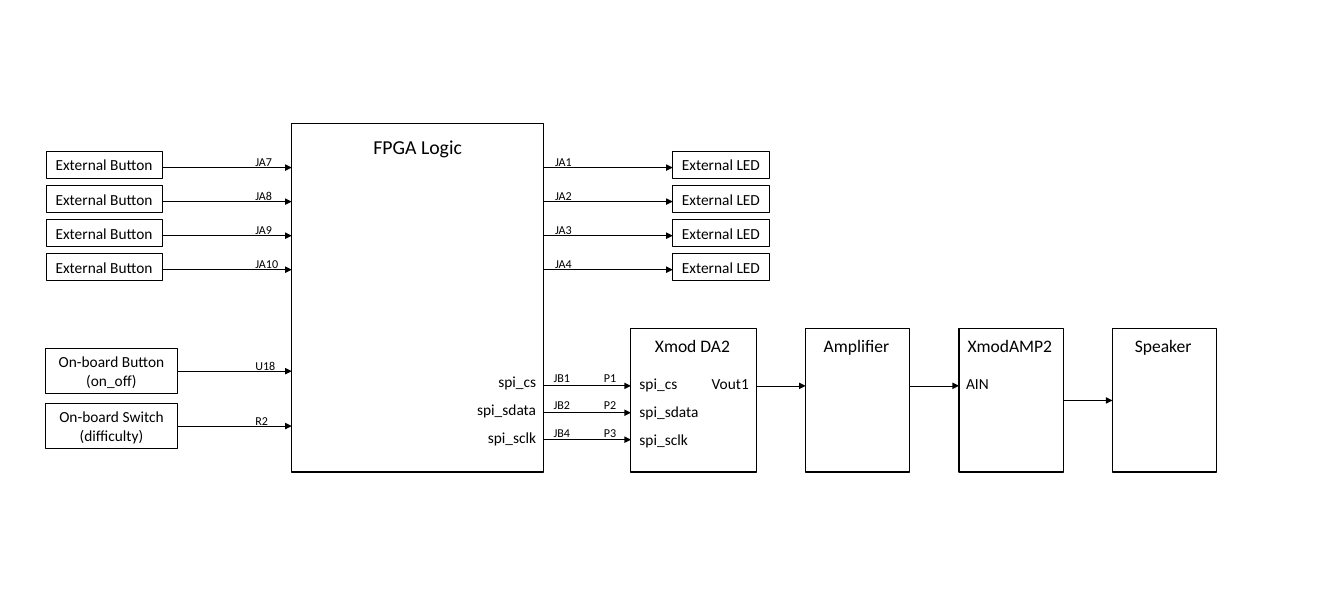
"""Block diagram of a sound game: buttons and LEDs around FPGA logic, with an audio chain."""
from lxml.etree import SubElement
from pptx import Presentation
from pptx.dml.color import RGBColor
from pptx.enum.shapes import MSO_CONNECTOR, MSO_SHAPE
from pptx.enum.text import MSO_ANCHOR, PP_ALIGN
from pptx.oxml.ns import qn
from pptx.util import Pt

BLACK = RGBColor(0, 0, 0)
WHITE = RGBColor(255, 255, 255)
FONT = "Calibri"
LEFT, CENTER, RIGHT = PP_ALIGN.LEFT, PP_ALIGN.CENTER, PP_ALIGN.RIGHT
RIGHT_SIDE, LEFT_SIDE = 3, 1

BUTTON_PINS = ["JA7", "JA8", "JA9", "JA10"]
LED_PINS = ["JA1", "JA2", "JA3", "JA4"]
BOARD_INPUTS = [("On-board Button\n(on_off)", "U18", 317.5),
                ("On-board Switch\n(difficulty)", "R2", 367.5)]
SPI_SIGNALS = [("spi_cs", "JB1", "P1"), ("spi_sdata", "JB2", "P2"), ("spi_sclk", "JB4", "P3")]
CONVERTER = "Xmod DA2"
AUDIO_STAGES = ["Amplifier", "XmodAMP2", "Speaker"]

INPUT_X = 41.8
FPGA_X, FPGA_Y, FPGA_W, FPGA_H = 265.7, 112.3, 229.7, 317.5
FPGA_RIGHT = FPGA_X + FPGA_W
LED_X = 612.7
ROW_Y, ROW_STEP = 152.6, 31
PIN_X, PIN_W = 225.4, 37
CONVERTER_X, CONVERTER_W = 574.6, 114.5
STAGE_X, STAGE_STEP, STAGE_W = 733.7, 139.7, 95
STAGE_Y, STAGE_H = 299.5, 130.3
SIGNAL_Y, SIGNAL_STEP = 351.4, 24.5
SIGNAL_TEXT_STEP, SIGNAL_W = 25.4, 87.8


def write(shape, text, size, align):
    frame = shape.text_frame
    frame.word_wrap = True
    frame.vertical_anchor = MSO_ANCHOR.TOP
    frame.text = text
    for para in frame.paragraphs:
        para.alignment = align
        for span in para.runs:
            span.font.name = FONT
            span.font.size = Pt(size)
            span.font.color.rgb = BLACK


def add_label(page, text, x, y, width, size=14, align=LEFT):
    label = page.shapes.add_textbox(Pt(x), Pt(y), Pt(width), Pt(size * 1.22 + 7.2))
    write(label, text, size, align)


def add_box(page, x, y, width, height, text="", line_width=0.75):
    box = page.shapes.add_shape(MSO_SHAPE.RECTANGLE, Pt(x), Pt(y), Pt(width), Pt(height))
    box.shadow.inherit = False
    box.fill.solid()
    box.fill.fore_color.rgb = WHITE
    box.line.color.rgb = BLACK
    box.line.width = Pt(line_width)
    if text:
        write(box, text, 14, CENTER)
    return box


def add_arrow(page, x1, x2, y, line_width=1):
    arrow = page.shapes.add_connector(MSO_CONNECTOR.STRAIGHT, Pt(x1), Pt(y), Pt(x2), Pt(y))
    arrow.line.color.rgb = BLACK
    arrow.line.width = Pt(line_width)
    SubElement(arrow.line._get_or_add_ln(), qn("a:tailEnd"), type="triangle")
    SubElement(arrow._element.spPr, qn("a:effectLst"))
    return arrow


def add_stage(page, title, x, width):
    box = add_box(page, x, STAGE_Y, width, STAGE_H, line_width=1)
    add_label(page, title, x - 2.4, STAGE_Y + 2.2, width + 2.4, 16, CENTER)
    return box


def add_inputs_and_leds(page):
    for row, (button_pin, led_pin) in enumerate(zip(BUTTON_PINS, LED_PINS)):
        y = ROW_Y + row * ROW_STEP
        add_arrow(page, INPUT_X + 106, FPGA_X, y)
        add_box(page, INPUT_X, y - 14.4, 106, 24.5, "External Button")
        add_label(page, button_pin, PIN_X, y - 15.8, PIN_W, 11)
        add_arrow(page, FPGA_RIGHT, LED_X, y)
        add_box(page, LED_X, y - 14.4, 87.8, 24.5, "External LED")
        add_label(page, led_pin, 498.4, y - 15.4, PIN_W, 11)
    for text, pin, top in BOARD_INPUTS:
        box = add_box(page, INPUT_X, top, 119.5, 41, text)
        arrow = add_arrow(page, INPUT_X + 119.5, FPGA_X, top + 20.5)
        arrow.begin_connect(box, RIGHT_SIDE)
        add_label(page, pin, PIN_X, top + 5.5, PIN_W, 11)


def add_spi(page):
    for row, (signal, source_pin, target_pin) in enumerate(SPI_SIGNALS):
        shift = row * SIGNAL_TEXT_STEP
        add_arrow(page, FPGA_RIGHT, CONVERTER_X, SIGNAL_Y + row * SIGNAL_STEP)
        add_label(page, signal, FPGA_RIGHT - SIGNAL_W, 335.5 + shift, SIGNAL_W, align=RIGHT)
        add_label(page, signal, CONVERTER_X + 0.7, 337 + shift, SIGNAL_W)
        add_label(page, source_pin, 489.3, 333.4 + shift, PIN_W, 11, RIGHT)
        add_label(page, target_pin, 542.9, 333.4 + shift, PIN_W, 11)


def add_audio_chain(page):
    add_stage(page, CONVERTER, CONVERTER_X, CONVERTER_W)
    lefts = [STAGE_X + index * STAGE_STEP for index in range(len(AUDIO_STAGES))]
    _, amplifier_board, speaker = [add_stage(page, title, x, STAGE_W)
                                   for title, x in zip(AUDIO_STAGES, lefts)]
    add_arrow(page, CONVERTER_X + CONVERTER_W, lefts[0], SIGNAL_Y, 0.5)
    add_arrow(page, lefts[0] + STAGE_W, lefts[1], SIGNAL_Y, 0.5)
    output = add_arrow(page, lefts[1] + STAGE_W, lefts[2], STAGE_Y + STAGE_H / 2, 0.5)
    output.begin_connect(amplifier_board, RIGHT_SIDE)
    output.end_connect(speaker, LEFT_SIDE)
    add_label(page, "Vout1", 637.2, 337.5, 52, align=RIGHT)
    add_label(page, "AIN", lefts[1] - 0.7, 337.5, SIGNAL_W)


def main():
    deck = Presentation()
    deck.slide_width, deck.slide_height = Pt(1224), Pt(540)
    page = deck.slides.add_slide(deck.slide_layouts.get_by_name("Blank"))
    add_box(page, FPGA_X, FPGA_Y, FPGA_W, FPGA_H, line_width=1)
    add_label(page, "FPGA Logic", 326.9, 118.8, 107, 18, CENTER)
    add_inputs_and_leds(page)
    add_audio_chain(page)
    add_spi(page)
    deck.save("out.pptx")


if __name__ == "__main__":
    main()
